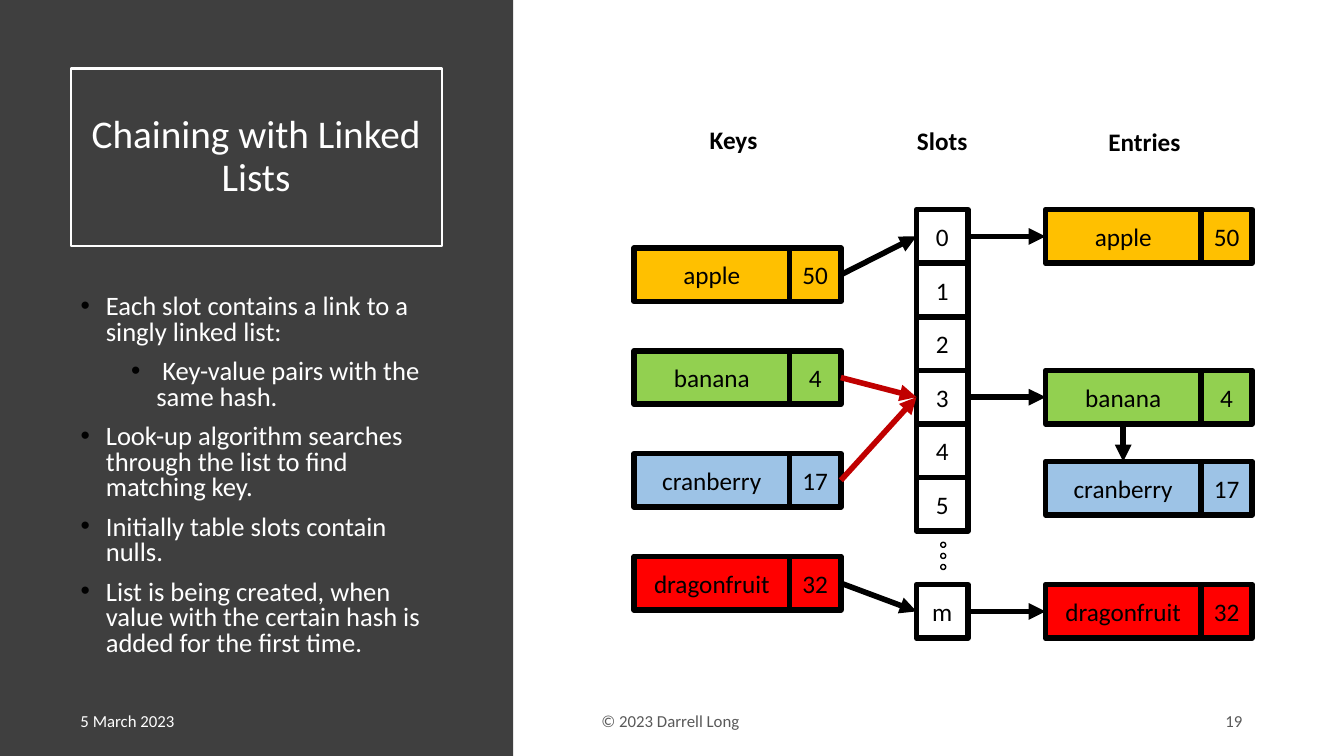
from dataclasses import dataclass

from lxml.etree import SubElement
from pptx import Presentation
from pptx.dml.color import RGBColor
from pptx.enum.shapes import MSO_CONNECTOR as Link, MSO_SHAPE as Shape
from pptx.enum.text import MSO_ANCHOR as Anchor, MSO_AUTO_SIZE as AutoSize, PP_ALIGN as Align
from pptx.oxml.ns import qn
from pptx.util import Inches, Pt


@dataclass(frozen=True)
class Theme:
    font: str = "Calibri"
    ink: str = "000000"
    paper: str = "FFFFFF"
    panel: str = "3F3F3F"
    muted: str = "595959"
    collision: str = "C00000"
    title_size: int = 28
    body_size: int = 19
    label_size: int = 18
    footer_size: int = 12
    heavy: int = 4


THEME = Theme()
FRUITS = {
    "apple": ("50", "FFC000"),
    "banana": ("4", "92D050"),
    "cranberry": ("17", "9DC3E6"),
    "dragonfruit": ("32", "FF0000"),
}
BULLETS = [
    (0, "Each slot contains a link to a singly linked list:"),
    (1, " Key-value pairs with the same hash."),
    (0, "Look-up algorithm searches through the list to find matching key."),
    (0, "Initially table slots contain nulls."),
    (0, "List is being created, when value with the certain hash is added for the first time."),
]

# Diagram grid: slot rows, and the columns of keys, slots and entries
WIDTH, HEIGHT = 13.33, 7.5
TOP, ROW = 2.08, 3.72 / 7
KEY_TOP, KEY_STEP = 2.46, 1.02
NAME_WIDTH, VALUE_WIDTH = 1.54, 0.51
KEY_X, SLOT_X, ENTRY_X = 6.29, 9.09, 10.37
SIDE_X, SIDE_WIDTH = 0.7, 3.68
SLOT_ROWS = {"0": 0, "1": 1, "2": 2, "3": 3, "4": 4, "5": 5, "m": 7}
ENTRY_ROWS = {"apple": 0, "banana": 3, "cranberry": 4.7, "dragonfruit": 7}
KEY_SLOTS = {"apple": "0", "banana": "3", "cranberry": "3", "dragonfruit": "m"}
TOP_SIDE, LEFT_SIDE, BOTTOM_SIDE, RIGHT_SIDE = range(4)


def color(value):
    return RGBColor.from_string(value)


def place(shape, left, top, width, height):
    shape.left, shape.top = Inches(left), Inches(top)
    shape.width, shape.height = Inches(width), Inches(height)


def write(para, text, size=THEME.label_size, ink=THEME.ink, bold=False,
          align=Align.CENTER, spacing=1.0, before=0):
    para.alignment = align
    para.line_spacing = spacing
    para.space_before = Pt(before)
    span = para.add_run()
    span.text = text
    span.font.name = THEME.font
    span.font.size = Pt(size)
    span.font.bold = bold
    span.font.color.rgb = color(ink)


def add_bullet(para, indent):
    props = para._p.get_or_add_pPr()
    props.set("marL", str(Inches(indent)))
    props.set("indent", str(Inches(-0.25)))
    tint = SubElement(props, qn("a:buClr"))
    SubElement(tint, qn("a:srgbClr"), val=THEME.ink)
    SubElement(props, qn("a:buFont"), typeface="Arial")
    SubElement(props, qn("a:buChar"), char="•")


def add_label(page, text, area, anchor=Anchor.TOP, **style):
    box = page.shapes.add_textbox(*map(Inches, area))
    box.text_frame.word_wrap = True
    box.text_frame.vertical_anchor = anchor
    write(box.text_frame.paragraphs[0], text, **style)


def add_box(page, area, kind=Shape.RECTANGLE, text="", fill=None, line=THEME.heavy):
    box = page.shapes.add_shape(kind, *map(Inches, area))
    box.shadow.inherit = False
    if fill:
        box.fill.solid()
        box.fill.fore_color.rgb = color(fill)
    else:
        box.fill.background()
    if line:
        box.line.color.rgb = color(THEME.ink)
        box.line.width = Pt(line)
    else:
        box.line.fill.background()
    if text:
        box.text_frame.vertical_anchor = Anchor.MIDDLE
        write(box.text_frame.paragraphs[0], text)
    return box


def add_pair(page, fruit, left, top):
    value, fill = FRUITS[fruit]
    name_box = add_box(page, (left, top, NAME_WIDTH, ROW), text=fruit, fill=fill)
    value_box = add_box(page, (left + NAME_WIDTH, top, VALUE_WIDTH, ROW), text=value, fill=fill)
    return name_box, value_box


def add_arrow(page, start, end, ink=THEME.ink, sides=(RIGHT_SIDE, LEFT_SIDE)):
    arrow = page.shapes.add_connector(Link.STRAIGHT, 0, 0, 0, 0)
    arrow.begin_connect(start, sides[0])
    arrow.end_connect(end, sides[1])
    arrow.line.color.rgb = color(ink)
    arrow.line.width = Pt(THEME.heavy)
    SubElement(arrow.line._get_or_add_ln(), qn("a:tailEnd"), type="triangle")
    SubElement(arrow.element.spPr, qn("a:effectLst"))


def add_side_panel(page):
    # The panel goes behind the placeholders
    panel = add_box(page, (0, 0, 5.09, HEIGHT), fill=THEME.panel, line=None)
    panel.element.getparent().insert(2, panel.element)

    title = page.shapes.title
    place(title, SIDE_X, 0.68, SIDE_WIDTH, 1.76)
    title.line.color.rgb = color(THEME.paper)
    title.line.width = Pt(1.5)
    title.text_frame.auto_size = AutoSize.NONE
    title.text_frame.vertical_anchor = Anchor.MIDDLE
    write(title.text_frame.paragraphs[0], "Chaining with Linked Lists",
          size=THEME.title_size, ink=THEME.paper, spacing=0.9)

    body = page.placeholders[1]
    place(body, SIDE_X, 2.88, SIDE_WIDTH, 3.74)
    frame = body.text_frame
    frame.auto_size = AutoSize.NONE
    for index, (level, text) in enumerate(BULLETS):
        para = frame.add_paragraph() if index else frame.paragraphs[0]
        para.level = level
        add_bullet(para, 0.25 + 0.5 * level)
        write(para, text, size=THEME.body_size, ink=THEME.paper, align=Align.LEFT,
              spacing=0.8, before=10 if index else 0)


def add_footer(page):
    for text, left, width, align, ink in (
        ("5 March 2023", SIDE_X, 1.84, Align.LEFT, THEME.paper),
        ("© 2023 Darrell Long", 4.4, 4.5, Align.CENTER, THEME.muted),
        ("19", 9.42, 3, Align.RIGHT, THEME.muted),
    ):
        add_label(page, text, (left, 6.95, width, 0.4), anchor=Anchor.MIDDLE,
                  size=THEME.footer_size, ink=ink, align=align)


def add_diagram(page):
    # Column headings
    for text, left, top, width in (
        ("Keys", 6.83, 1.18, 0.89), ("Slots", 8.9, 1.19, 0.89), ("Entries", 10.43, 1.2, 1.84),
    ):
        add_label(page, text, (left, top, width, 0.4), bold=True)

    # Keys, slots and entries
    keys = {fruit: add_pair(page, fruit, KEY_X, KEY_TOP + KEY_STEP * index)
            for index, fruit in enumerate(FRUITS)}
    slots = {name: add_box(page, (SLOT_X, TOP + ROW * row, VALUE_WIDTH, ROW), text=name)
             for name, row in SLOT_ROWS.items()}
    entries = {fruit: add_pair(page, fruit, ENTRY_X, TOP + ROW * row)
               for fruit, row in ENTRY_ROWS.items()}

    # Dots for the slots left out
    for index in range(3):
        add_box(page, (9.33, 5.38 + 0.11 * index, 0.05, 0.05), kind=Shape.OVAL, line=1)

    # Arrows: keys that share a slot stand out, and chain in one list
    for fruit, slot in KEY_SLOTS.items():
        shared = list(KEY_SLOTS.values()).count(slot) > 1
        add_arrow(page, keys[fruit][1], slots[slot], THEME.collision if shared else THEME.ink)
    for slot, fruit in (("0", "apple"), ("3", "banana"), ("m", "dragonfruit")):
        add_arrow(page, slots[slot], entries[fruit][0])
    add_arrow(page, entries["banana"][0], entries["cranberry"][0], sides=(BOTTOM_SIDE, TOP_SIDE))


def main():
    deck = Presentation()
    deck.slide_width, deck.slide_height = Inches(WIDTH), Inches(HEIGHT)
    page = deck.slides.add_slide(deck.slide_layouts[1])
    add_side_panel(page)
    add_footer(page)
    add_diagram(page)
    deck.save("out.pptx")


if __name__ == "__main__":
    main()
